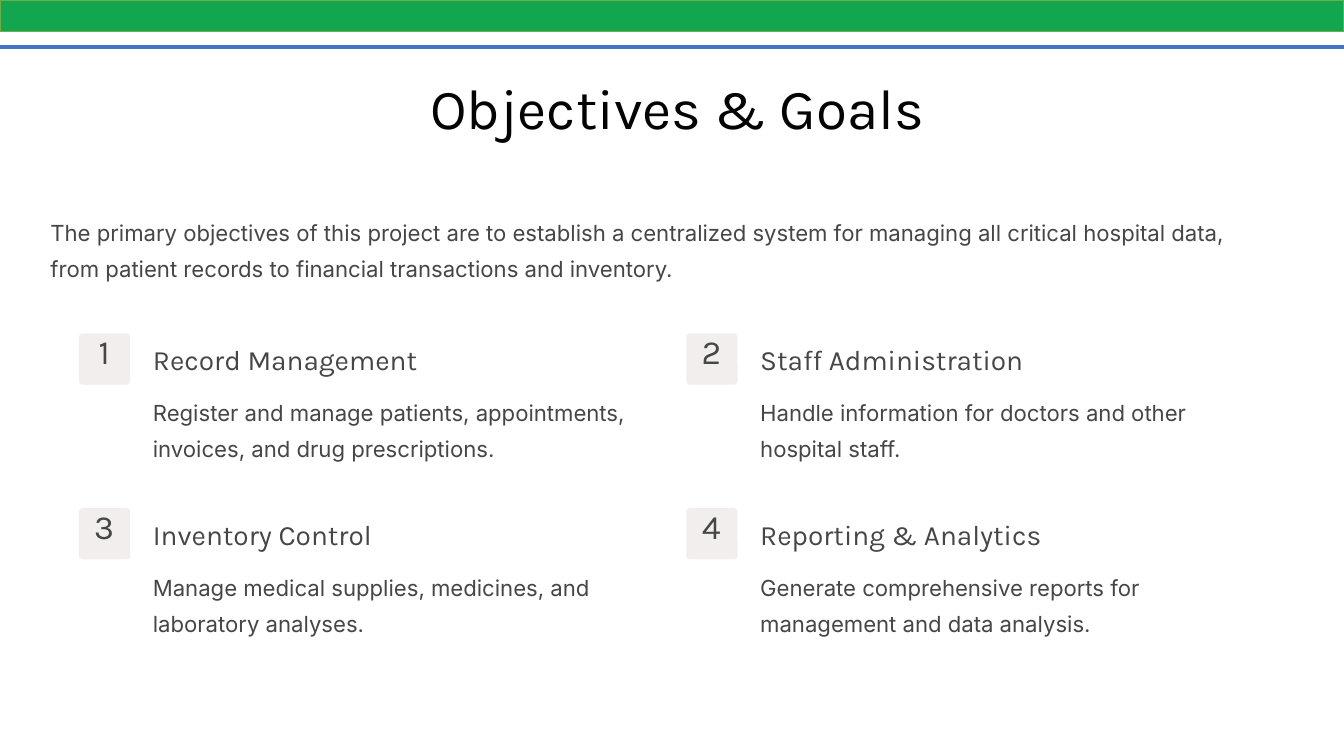
from pptx import Presentation
from pptx.dml.color import RGBColor
from pptx.enum import shapes, text
from pptx.util import Inches, Pt

TITLE = "Objectives & Goals"
INTRO = (
    "The primary objectives of this project are to establish a centralized system "
    "for managing all critical hospital data, from patient records to financial "
    "transactions and inventory."
)
GOALS = [
    ("Record Management",
     "Register and manage patients, appointments, invoices, and drug prescriptions."),
    ("Staff Administration",
     "Handle information for doctors and other hospital staff."),
    ("Inventory Control",
     "Manage medical supplies, medicines, and laboratory analyses."),
    ("Reporting & Analytics",
     "Generate comprehensive reports for management and data analysis."),
]
COLORS = {
    "title": "030303", "body": "464646", "badge": "F2EEEE",
    "banner": "12A64E", "banner_edge": "70AD47", "rule": "4472C4",
}
STYLES = {
    "title": ("Karla", 48.5, 60.5, "title", False),
    "number": ("Karla", 29, 29, "body", False),
    "heading": ("Karla", 24, 30, "body", False),
    "body": ("Inter", 19, 31, "body", True),
}
COLUMNS = 2
GRID_LEFT, GRID_TOP = 0.94, 3.97
COLUMN_STEP, ROW_STEP = 7.23, 2.08
BADGE_SIZE = 0.61


def color(name):
    return RGBColor.from_string(COLORS[name])


def add_text(slide, words, style, left, top, width, height, align=text.PP_ALIGN.LEFT):
    font_name, size, spacing, ink, wrap = STYLES[style]
    frame = slide.shapes.add_textbox(
        Inches(left), Inches(top), Inches(width), Inches(height)).text_frame
    frame.margin_left = frame.margin_right = frame.margin_top = frame.margin_bottom = 0
    frame.word_wrap = wrap
    frame.text = words
    paragraph = frame.paragraphs[0]
    paragraph.alignment = align
    paragraph.line_spacing = Pt(spacing)
    font = paragraph.runs[0].font
    font.name, font.size = font_name, Pt(size)
    font.color.rgb = color(ink)


def add_block(slide, kind, fill, left, top, width, height):
    block = slide.shapes.add_shape(
        kind, Inches(left), Inches(top), Inches(width), Inches(height))
    block.shadow.inherit = False
    block.fill.solid()
    block.fill.fore_color.rgb = color(fill)
    block.line.fill.background()
    return block


def add_goal(slide, index, heading, description):
    row, column = divmod(index, COLUMNS)
    left = GRID_LEFT + column * COLUMN_STEP
    top = GRID_TOP + row * ROW_STEP
    badge = add_block(slide, shapes.MSO_SHAPE.ROUNDED_RECTANGLE, "badge",
                      left, top, BADGE_SIZE, BADGE_SIZE)
    badge.adjustments[0] = 0.07
    add_text(slide, str(index + 1), "number", left + 0.1, top + 0.05, 0.4, 0.51,
             text.PP_ALIGN.CENTER)
    add_text(slide, heading, "heading", left + 0.88, top + 0.09, 3.38, 0.42)
    add_text(slide, description, "body", left + 0.88, top + 0.67, 6.01, 0.86)


def main():
    """Build the objectives and goals slide."""
    deck = Presentation()
    deck.slide_width, deck.slide_height = Inches(16), Inches(9)
    slide = deck.slides.add_slide(deck.slide_layouts[6])

    add_text(slide, TITLE, "title", 5.12, 0.84, 6.75, 0.86)
    add_text(slide, INTRO, "body", 0.6, 2.5, 14.11, 1.05)
    for index, (heading, description) in enumerate(GOALS):
        add_goal(slide, index, heading, description)

    banner = add_block(slide, shapes.MSO_SHAPE.RECTANGLE, "banner", 0, 0, 16, 0.38)
    banner.line.color.rgb = color("banner_edge")
    banner.line.width = Pt(1)

    rule = slide.shapes.add_connector(
        shapes.MSO_CONNECTOR.STRAIGHT,
        Inches(-0.02), Inches(0.56), Inches(16.02), Inches(0.56))
    rule.line.color.rgb = color("rule")
    rule.line.width = Pt(3)
    properties = rule.line._get_or_add_ln().getparent()
    properties.append(properties.makeelement(
        "{http://schemas.openxmlformats.org/drawingml/2006/main}effectLst", {}))

    deck.save("out.pptx")


if __name__ == "__main__":
    main()
